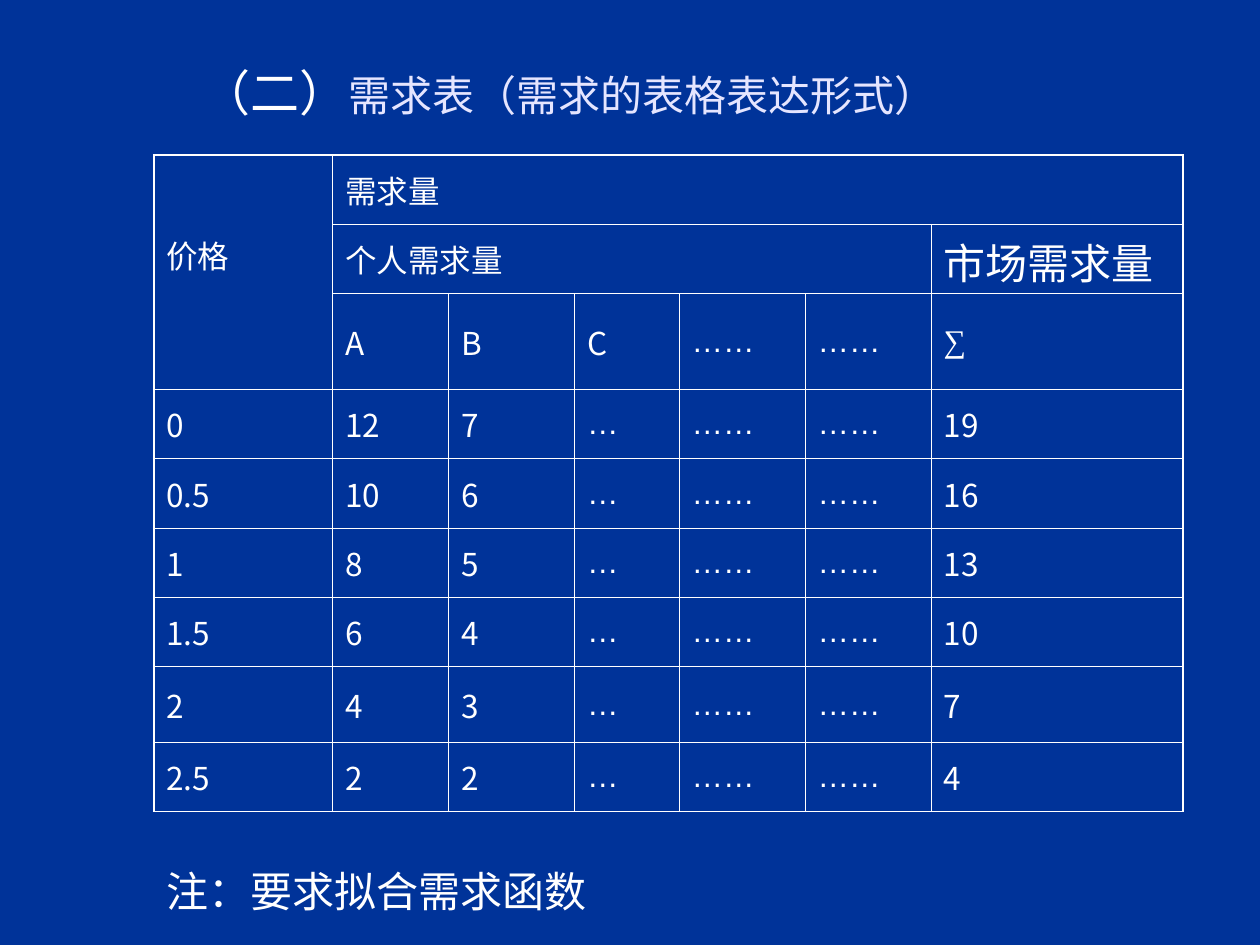
from typing import NamedTuple
from lxml.etree import SubElement
from pptx import Presentation
from pptx.dml.color import RGBColor as Rgb
from pptx.enum.text import MSO_ANCHOR as Anchor
from pptx.oxml.ns import qn
from pptx.util import Inches, Pt

SANS, SERIF, ARIAL = "Noto Sans CJK SC", "Times New Roman", "Arial"
BLUE, WHITE, PALE = "003399", "FFFFFF", "E5E5FF"
WIDE, HIGH = 10, 7.5
THIN, THICK = 0.45, 1.08

COLS = [1.42, 0.92, 1, 0.83, 1, 1, 2]
ROWS = [0.55, 0.55, 0.76] + [0.55] * 4 + [0.6, 0.55]
DOTS = "……"


class Head(NamedTuple):
    row: int
    col: int
    text: str
    down: int = 1
    over: int = 1
    size: int = 18


class Demand(NamedTuple):
    price: str
    a: int
    b: int


HEADS = [
    Head(0, 0, "价格", down=3),
    Head(0, 1, "需求量", over=6),
    Head(1, 1, "个人需求量", over=5),
    Head(1, 6, "市场需求量", size=24),
] + [Head(2, i, t) for i, t in enumerate(["A", "B", "C", DOTS, DOTS, "∑"], 1)]

DATA = [
    Demand("0", 12, 7), Demand("0.5", 10, 6), Demand("1", 8, 5),
    Demand("1.5", 6, 4), Demand("2", 4, 3), Demand("2.5", 2, 2),
]


def color(code: str) -> Rgb:
    return Rgb.from_string(code)


def style(font, size: float, name: str, code: str = WHITE) -> None:
    font.size, font.name = Pt(size), name
    font.color.rgb = color(code)


def text_box(slide, x: float, y: float, w: float, h: float):
    """Add a wrapping box, placed by shares of the slide's size."""
    box = slide.shapes.add_textbox(
        Inches(x * WIDE), Inches(y * HIGH), Inches(w * WIDE), Inches(h * HIGH))
    box.text_frame.word_wrap = True
    return box.text_frame.paragraphs[0]


def border(cell, row: int, col: int, down: int, over: int) -> None:
    """Rule a cell: thick on the table's rim, thin inside."""
    rim = {"L": col == 0, "R": col + over == len(COLS),
           "T": row == 0, "B": row + down == len(ROWS)}
    prop = cell._tc.get_or_add_tcPr()
    for i, (side, edge) in enumerate(rim.items()):
        line = prop.makeelement(
            qn(f"a:ln{side}"), {"w": str(Pt(THICK if edge else THIN))})
        fill = SubElement(line, qn("a:solidFill"))
        SubElement(fill, qn("a:srgbClr"), val=WHITE)
        prop.insert(i, line)


def put(table, head: Head) -> None:
    """Fill one cell, merging it over its span."""
    row, col, text, down, over, size = head
    cell = table.cell(row, col)
    if down * over > 1:
        cell.merge(table.cell(row + down - 1, col + over - 1))
    cell.fill.background()
    cell.vertical_anchor = Anchor.MIDDLE
    para = cell.text_frame.paragraphs[0]
    para.text = text
    name = ARIAL if "…" in text else SERIF if text == "∑" else SANS
    style(para.font, size, name)
    border(cell, row, col, down, over)


def main() -> None:
    deck = Presentation()
    deck.slide_width, deck.slide_height = Inches(WIDE), Inches(HIGH)
    slide = deck.slides.add_slide(deck.slide_layouts[6])
    slide.background.fill.solid()
    slide.background.fill.fore_color.rgb = color(BLUE)

    # Title
    title = text_box(slide, 0.15, 0.067, 0.767, 0.13)
    title.line_spacing = 0.9
    for text, size, name, code in [
            ("（二）", 28, SANS, WHITE),
            ("需求表（需求的表格表达形式）", 24, SERIF, PALE)]:
        run = title.add_run()
        run.text = text
        style(run.font, size, name, code)

    # Demand table
    frame = slide.shapes.add_table(
        len(ROWS), len(COLS), Inches(1.22), Inches(1.23),
        Inches(sum(COLS)), Inches(sum(ROWS)))
    table = frame.table
    table.first_row = table.horz_banding = False
    for col, w in zip(table.columns, COLS):
        col.width = Inches(w)
    for row, h in zip(table.rows, ROWS):
        row.height = Inches(h)
    for head in HEADS:
        put(table, head)
    for i, item in enumerate(DATA, 3):
        line = [item.price, item.a, item.b, "…", DOTS, DOTS, item.a + item.b]
        for j, value in enumerate(line):
            put(table, Head(i, j, str(value)))
    table.cell(0, 0).margin_bottom = Inches(0.32)  # lifts the price label

    # Note
    note = text_box(slide, 0.122, 0.909, 0.481, 0.067)
    note.text = "注：要求拟合需求函数"
    style(note.font, 24, SERIF)

    deck.save("out.pptx")


if __name__ == "__main__":
    main()
